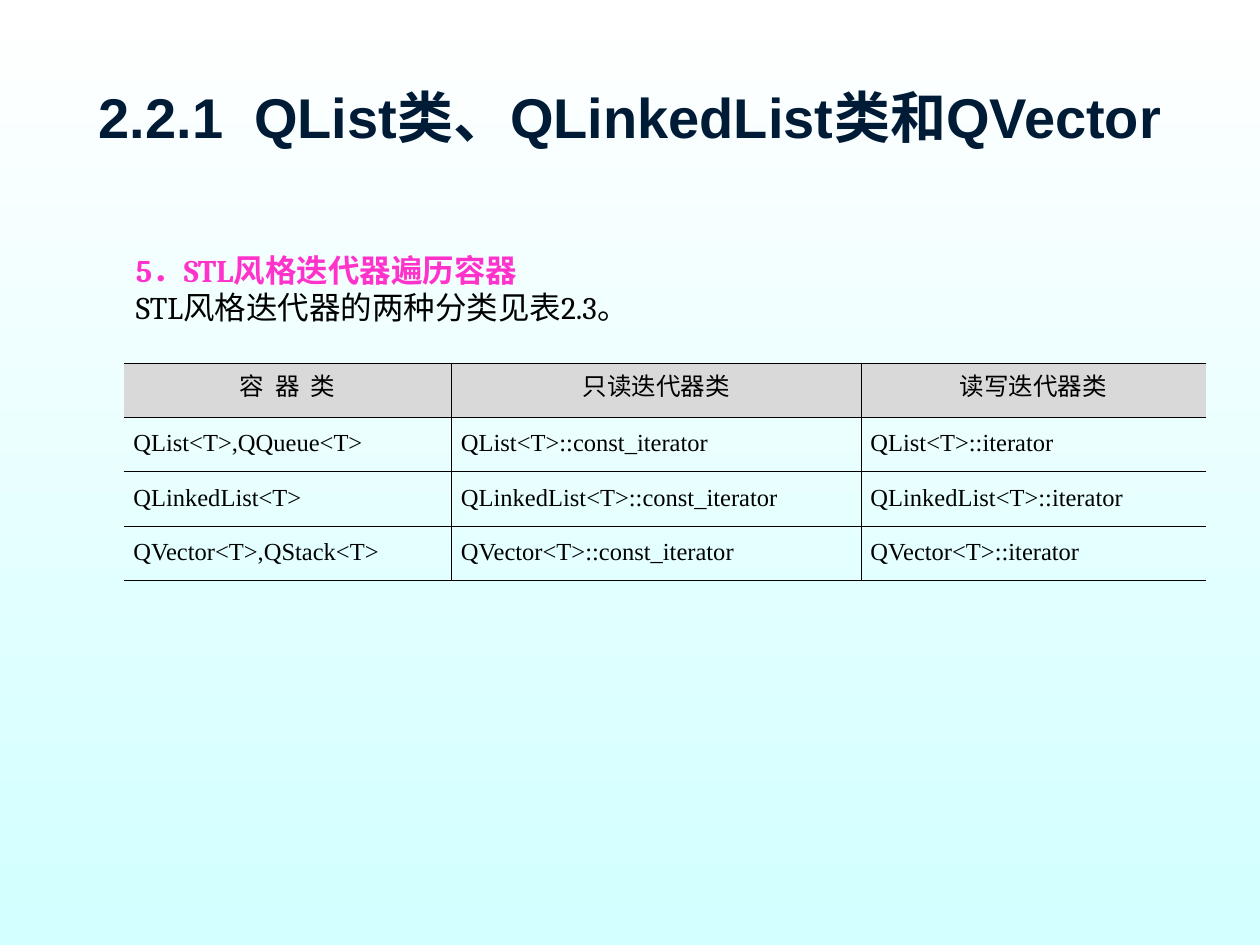
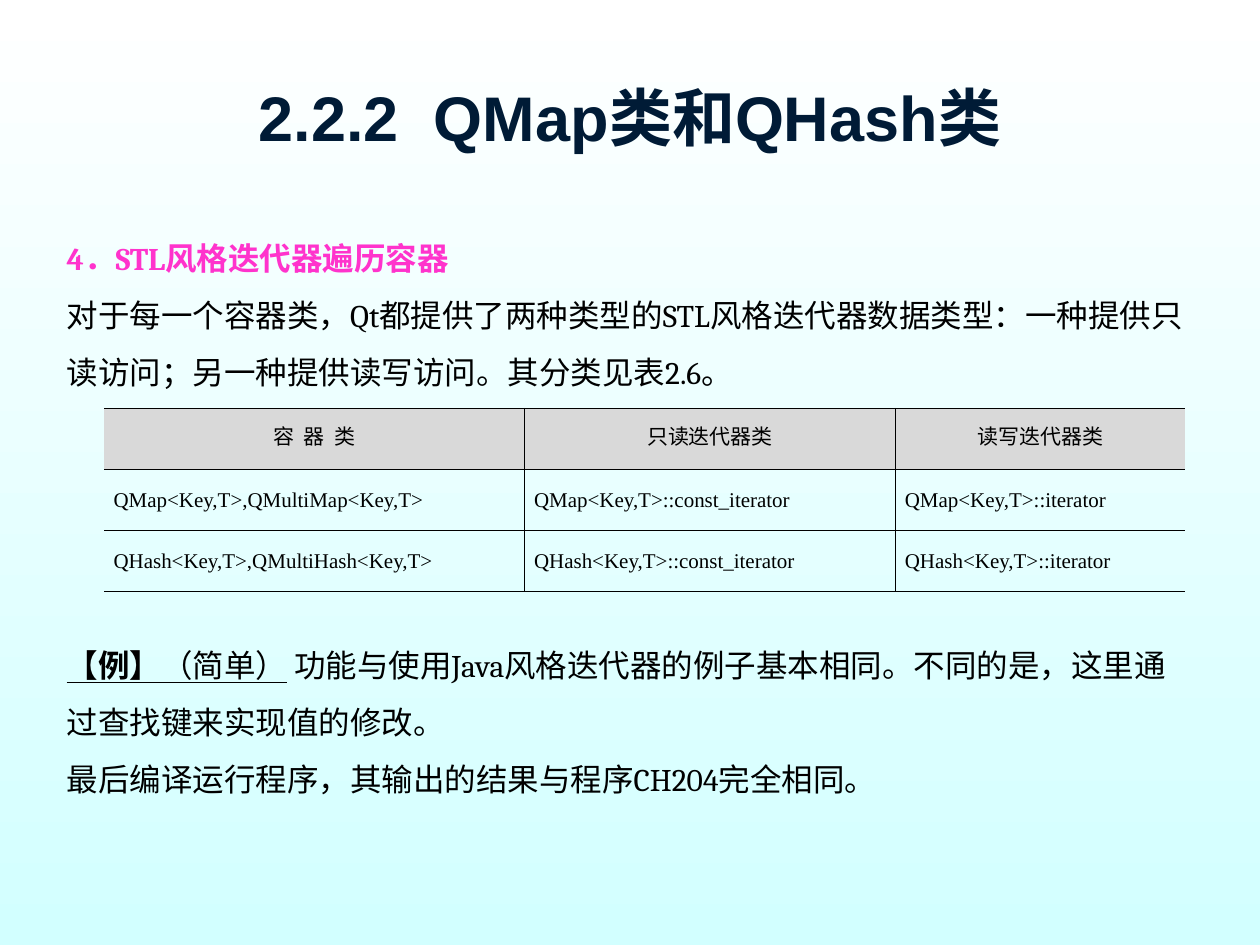
from dataclasses import dataclass

from lxml import etree
from pptx import Presentation
from pptx.dml.color import RGBColor
from pptx.enum import lang, text
from pptx.oxml import ns
from pptx.slide import Slide
from pptx.table import _Cell
from pptx.text.text import _Paragraph
from pptx.util import Pt

WHITE = RGBColor(0xFF, 0xFF, 0xFF)
PALE_CYAN = RGBColor(0xD2, 0xFF, 0xFF)
NAVY = RGBColor(0x00, 0x1B, 0x36)
PINK = RGBColor(0xFF, 0x33, 0xCC)
BLACK = RGBColor(0x00, 0x00, 0x00)
HEADER_GREY = RGBColor(0xD9, 0xD9, 0xD9)

TITLE_FONT = "Arial"
BODY_FONT = "Cambria"
CELL_FONT = "Times New Roman"
BODY_SIZE = 18
CELL_LINE = 14
RULE_WIDTH = 0.45
TABLE_HEADER = ("容  器  类", "只读迭代器类", "读写迭代器类")


@dataclass(frozen=True)
class Span:
    words: str
    color: RGBColor = BLACK
    bold: bool = False
    underline: bool = False
    font: str = BODY_FONT
    size: float = BODY_SIZE


@dataclass(frozen=True)
class Frame:
    left: float
    top: float
    width: float
    height: float


@dataclass(frozen=True)
class TextBlock:
    frame: Frame
    paragraphs: tuple[tuple[Span, ...], ...]
    line_spacing: float = 1.0


@dataclass(frozen=True)
class IteratorTable:
    left: float
    top: float
    column_widths: tuple[float, ...]
    row_height: float
    size: float
    classes: tuple[tuple[str, str], ...]

    def rows(self) -> list[tuple[str, ...]]:
        body = [
            (containers, f"{owner}::const_iterator", f"{owner}::iterator")
            for containers, owner in self.classes
        ]
        return [TABLE_HEADER, *body]


@dataclass(frozen=True)
class Lesson:
    title: str
    title_size: float
    blocks: tuple[TextBlock, ...]
    table: IteratorTable


TITLE_FRAME = Frame(36, 21.6, 648, 90)

LESSONS = (
    Lesson(
        "2.2.1  QList类、QLinkedList类和QVector",
        32,
        (
            TextBlock(
                Frame(70.6, 139.7, 521.3, 50.4),
                (
                    (Span("5．STL风格迭代器遍历容器", PINK, bold=True),),
                    (Span("STL风格迭代器的两种分类见表2.3。"),),
                ),
            ),
        ),
        IteratorTable(
            70.8, 207.4, (187.2, 234, 197), 31.1, 14,
            (
                ("QList<T>,QQueue<T>", "QList<T>"),
                ("QLinkedList<T>", "QLinkedList<T>"),
                ("QVector<T>,QStack<T>", "QVector<T>"),
            ),
        ),
    ),
    Lesson(
        "2.2.2  QMap类和QHash类",
        36,
        (
            TextBlock(
                Frame(31, 122.4, 663.1, 136.8),
                (
                    (Span("4．STL风格迭代器遍历容器", PINK, bold=True),),
                    (Span("对于每一个容器类，Qt都提供了两种类型的STL风格迭代器数据类型："
                          "一种提供只读访问；另一种提供读写访问。其分类见表2.6。"),),
                ),
                1.5,
            ),
            TextBlock(
                Frame(31, 355, 652.3, 136.8),
                (
                    (
                        Span("【例】", bold=True, underline=True),
                        Span("（简单）", underline=True),
                        Span(" 功能与使用Java风格迭代器的例子基本相同。"
                             "不同的是，这里通过查找键来实现值的修改。"),
                    ),
                    (Span("最后编译运行程序，其输出的结果与程序CH204完全相同。"),),
                ),
                1.5,
            ),
        ),
        IteratorTable(
            59.5, 233.3, (240.3, 211.9, 165.6), 34.8, 12,
            (
                ("QMap<Key,T>,QMultiMap<Key,T>", "QMap<Key,T>"),
                ("QHash<Key,T>,QMultiHash<Key,T>", "QHash<Key,T>"),
            ),
        ),
    ),
)


def add_span(para: _Paragraph, span: Span) -> None:
    run = para.add_run()
    run.text = span.words
    font = run.font
    font.name = span.font
    font.size = Pt(span.size)
    font.bold = span.bold
    font.underline = span.underline
    font.color.rgb = span.color
    font.language_id = lang.MSO_LANGUAGE_ID.SIMPLIFIED_CHINESE


def paint_background(page: Slide) -> None:
    fill = page.background.fill
    fill.gradient()
    fill.gradient_angle = 270
    for stop, position, color in zip(fill.gradient_stops, (0, 1), (WHITE, PALE_CYAN)):
        stop.position = position
        stop.color.rgb = color


def add_box(page: Slide, frame: Frame):
    box = page.shapes.add_textbox(
        Pt(frame.left), Pt(frame.top), Pt(frame.width), Pt(frame.height)
    )
    box.text_frame.word_wrap = True
    return box.text_frame


def add_title(page: Slide, lesson: Lesson) -> None:
    box = add_box(page, TITLE_FRAME)
    box.vertical_anchor = text.MSO_ANCHOR.MIDDLE
    para = box.paragraphs[0]
    para.alignment = text.PP_ALIGN.CENTER
    add_span(para, Span(lesson.title, NAVY, True, font=TITLE_FONT, size=lesson.title_size))


def add_text_block(page: Slide, block: TextBlock) -> None:
    box = add_box(page, block.frame)
    box.auto_size = text.MSO_AUTO_SIZE.SHAPE_TO_FIT_TEXT
    for index, spans in enumerate(block.paragraphs):
        para = box.add_paragraph() if index else box.paragraphs[0]
        para.line_spacing = block.line_spacing
        for span in spans:
            add_span(para, span)


def rule_cell(cell: _Cell, first: bool, last: bool) -> None:
    properties = cell._tc.get_or_add_tcPr()
    drawn = {"a:lnL": not first, "a:lnR": not last, "a:lnT": True, "a:lnB": True}
    for position, (tag, visible) in enumerate(drawn.items()):
        line = etree.Element(ns.qn(tag), w=str(Pt(RULE_WIDTH)))
        if visible:
            fill = etree.SubElement(line, ns.qn("a:solidFill"))
            etree.SubElement(fill, ns.qn("a:srgbClr"), val=str(BLACK))
        else:
            etree.SubElement(line, ns.qn("a:noFill"))
        properties.insert(position, line)


def fill_cell(cell: _Cell, words: str, size: float, header: bool) -> None:
    cell.margin_left = cell.margin_right = Pt(5.4)
    cell.margin_top = cell.margin_bottom = Pt(3.6)
    cell.vertical_anchor = text.MSO_ANCHOR.MIDDLE
    if header:
        cell.fill.solid()
        cell.fill.fore_color.rgb = HEADER_GREY
    else:
        cell.fill.background()
    para = cell.text_frame.paragraphs[0]
    para.alignment = text.PP_ALIGN.CENTER if header else text.PP_ALIGN.JUSTIFY
    para.line_spacing = Pt(CELL_LINE)
    add_span(para, Span(words, font=TITLE_FONT if header else CELL_FONT, size=size))


def add_iterator_table(page: Slide, content: IteratorTable) -> None:
    rows = content.rows()
    widths = content.column_widths
    table = page.shapes.add_table(
        len(rows), len(widths), Pt(content.left), Pt(content.top),
        Pt(sum(widths)), Pt(content.row_height * len(rows)),
    ).table
    table.first_row = False
    table.horz_banding = False
    for column, width in zip(table.columns, widths):
        column.width = Pt(width)
    for row_index, row in enumerate(rows):
        table.rows[row_index].height = Pt(content.row_height)
        for column_index, words in enumerate(row):
            cell = table.cell(row_index, column_index)
            fill_cell(cell, words, content.size, row_index == 0)
            rule_cell(cell, column_index == 0, column_index == len(widths) - 1)


def main() -> None:
    deck = Presentation()
    deck.slide_width = Pt(720)
    deck.slide_height = Pt(540)
    for lesson in LESSONS:
        page = deck.slides.add_slide(deck.slide_layouts[6])
        paint_background(page)
        add_title(page, lesson)
        for block in lesson.blocks:
            add_text_block(page, block)
        add_iterator_table(page, lesson.table)
    deck.save("out.pptx")


if __name__ == "__main__":
    main()
